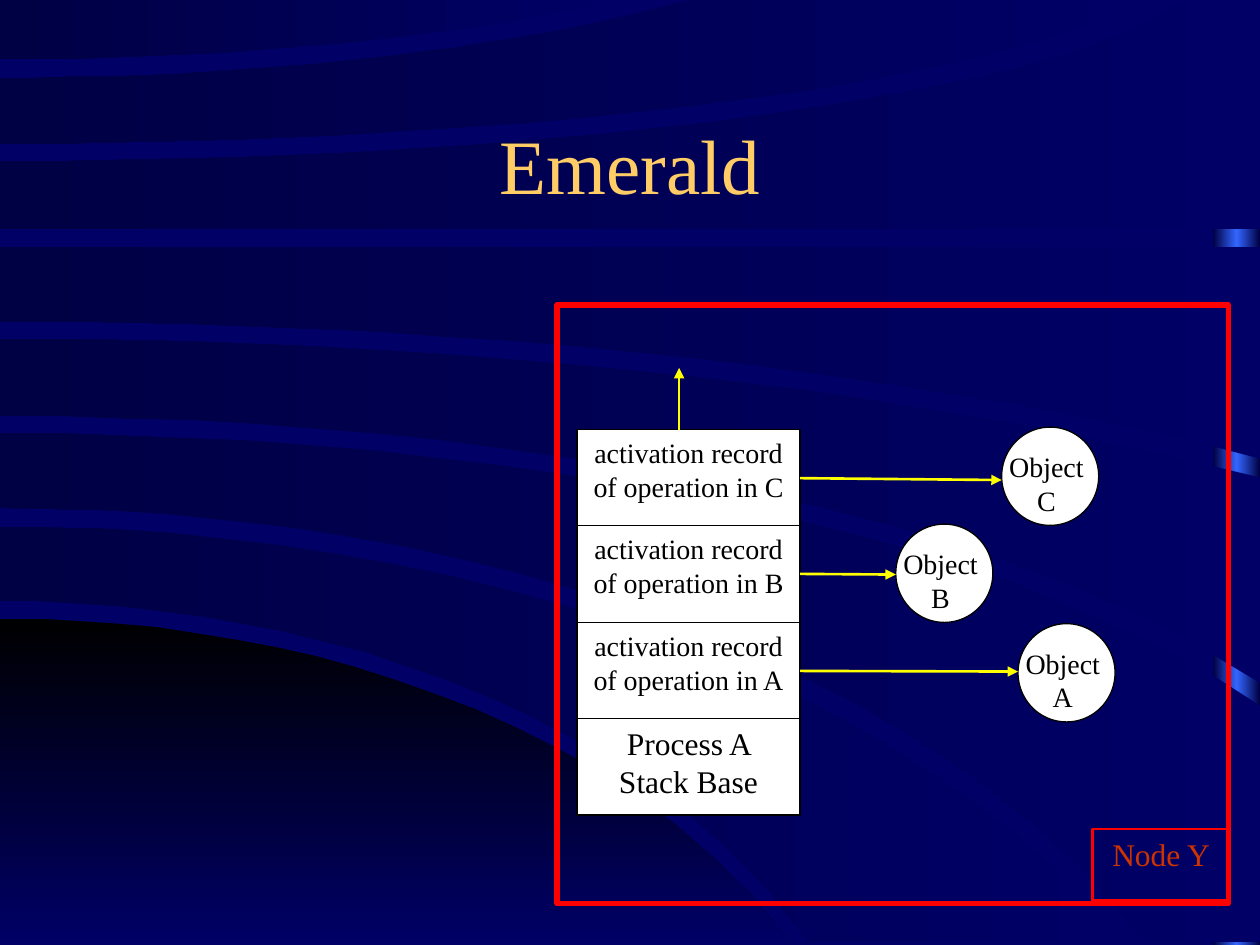
from dataclasses import dataclass
from math import sqrt

from lxml.etree import SubElement
from pptx import Presentation
from pptx.dml.color import RGBColor
from pptx.enum.shapes import MSO_CONNECTOR, MSO_SHAPE
from pptx.enum.text import MSO_ANCHOR, PP_ALIGN
from pptx.oxml.ns import qn
from pptx.shapes.autoshape import Shape
from pptx.shapes.connector import Connector
from pptx.slide import Slide
from pptx.util import Pt

PX = 9144  # EMU per px, 100 px to the inch
FONT = "Times New Roman"
EDGE_STEPS = 20

NAVY = RGBColor(0x00, 0x00, 0x66)
DEEP_NAVY = RGBColor(0x00, 0x00, 0x44)
BRIGHT_BLUE = RGBColor(0x33, 0x66, 0xFF)
BLACK = RGBColor(0x00, 0x00, 0x00)
WHITE = RGBColor(0xFF, 0xFF, 0xFF)
GOLD = RGBColor(0xFF, 0xCC, 0x66)
RED = RGBColor(0xFF, 0x00, 0x00)
BRICK = RGBColor(0xCC, 0x33, 0x00)
YELLOW = RGBColor(0xFF, 0xFF, 0x00)

Point = tuple[int, int]


@dataclass(frozen=True)
class Box:
    left: int
    top: int
    width: int
    height: int

    def emu(self) -> tuple[int, int, int, int]:
        return self.left * PX, self.top * PX, self.width * PX, self.height * PX


@dataclass(frozen=True)
class Edge:
    """Elliptic arc, level at the left side of the slide; flatness is below 1."""
    left_y: int
    right_x: int
    right_y: int
    flatness: float = 0.7

    def points(self) -> list[Point]:
        result = []
        for step in range(EDGE_STEPS + 1):
            t = step / EDGE_STEPS
            bend = 1 - sqrt(1 - (1 - self.flatness ** 2) * t * t)
            rise = (self.right_y - self.left_y) * bend / (1 - self.flatness)
            result.append((round(self.right_x * t), round(self.left_y + rise)))
        return result


@dataclass(frozen=True)
class Band:
    upper: Edge
    lower: Edge

    def outline(self) -> list[Point]:
        shorter, longer = sorted((self.upper, self.lower), key=lambda edge: edge.right_x)
        corner = (longer.right_x, shorter.right_y)
        return [*self.upper.points(), corner, *reversed(self.lower.points())]


@dataclass(frozen=True)
class Call:
    """An activation record and the object it runs in."""
    name: str
    object_left: int
    object_top: int
    arrow_y: int


HILL = Band(Edge(491, 628, 750, 0.42), Edge(750, 628, 750))
BANDS = [
    Band(Edge(418, 893, 748, 0.43), Edge(477, 642, 748, 0.41)),
    Band(Edge(344, 1000, 560, 0.44), Edge(403, 909, 748, 0.4)),
    Band(Edge(269, 1000, 379, 0.73), Edge(330, 1000, 542, 0.46)),
    Band(Edge(196, 1000, 196), Edge(255, 1000, 364)),
    Band(Edge(128, 943, -2, 0.21), Edge(182, 1000, 182)),
    Band(Edge(62, 556, -2), Edge(114, 917, -2, 0.3)),
    Band(Edge(-2, 501, -2), Edge(47, 501, -2)),
]
CALLS = [
    Call("C", 795, 339, 381),
    Call("B", 711, 416, 456),
    Call("A", 808, 495, 533),
]
RECORD_LEFT, RECORD_WIDTH, RECORD_HEIGHT = 458, 177, 77
STACK_TOP, TWO_RECORD_PITCH = 341, 153


def apply_gradient(shape: Shape, colors: list[RGBColor], angle: int) -> None:
    """Spread the colors evenly; the angle runs counter-clockwise."""
    shape.fill.gradient()
    shape.fill.gradient_angle = angle
    stops = shape.element.spPr.find(qn("a:gradFill")).find(qn("a:gsLst"))
    stops.clear()
    for i, color in enumerate(colors):
        stop = SubElement(stops, qn("a:gs"), pos=str(100000 * i // (len(colors) - 1)))
        SubElement(stop, qn("a:srgbClr"), val=str(color))
    shape.line.fill.background()
    shape.shadow.inherit = False


def add_band(slide: Slide, band: Band, colors: list[RGBColor], angle: int) -> None:
    start, *rest = band.outline()
    builder = slide.shapes.build_freeform(*start, scale=PX)
    builder.add_line_segments(rest, close=True)
    apply_gradient(builder.convert_to_shape(), colors, angle)


def write_text(shape: Shape, text: str, size: int, color: RGBColor,
               anchor: MSO_ANCHOR = MSO_ANCHOR.TOP) -> None:
    frame = shape.text_frame
    frame.word_wrap = True
    frame.vertical_anchor = anchor
    paragraph = frame.paragraphs[0]
    paragraph.alignment = PP_ALIGN.CENTER
    run = paragraph.add_run()
    run.text = text
    run.font.name, run.font.size = FONT, Pt(size)
    run.font.color.rgb = color


def add_outlined(slide: Slide, kind: MSO_SHAPE, box: Box, line: RGBColor, weight: float,
                 fill: RGBColor | None = None) -> Shape:
    shape = slide.shapes.add_shape(kind, *box.emu())
    shape.shadow.inherit = False
    if fill is None:
        shape.fill.background()
    else:
        shape.fill.solid()
        shape.fill.fore_color.rgb = fill
    shape.line.color.rgb, shape.line.width = line, Pt(weight)
    return shape


def add_record(slide: Slide, row: int, text: str, size: int) -> Shape:
    top = STACK_TOP + row * TWO_RECORD_PITCH // 2
    box = Box(RECORD_LEFT, top, RECORD_WIDTH, RECORD_HEIGHT)
    record = add_outlined(slide, MSO_SHAPE.RECTANGLE, box, BLACK, 0.75, WHITE)
    write_text(record, text, size, BLACK)
    return record


def add_object(slide: Slide, call: Call) -> None:
    circle = Box(call.object_left, call.object_top, 77, 78)
    add_outlined(slide, MSO_SHAPE.OVAL, circle, BLACK, 0.75, WHITE)
    label = Box(circle.left - 13, circle.top + 13, 97, 65)
    write_text(slide.shapes.add_textbox(*label.emu()), f"Object {call.name}", 16, BLACK)


def add_arrow(slide: Slide, start: Point, end: Point) -> Connector:
    arrow = slide.shapes.add_connector(
        MSO_CONNECTOR.STRAIGHT, *(value * PX for value in start + end))
    arrow.line.color.rgb, arrow.line.width = YELLOW, Pt(1.5)
    outline = arrow.element.spPr.find(qn("a:ln"))
    SubElement(outline, qn("a:tailEnd"), type="triangle")
    SubElement(arrow.element.spPr, qn("a:effectLst"))
    return arrow


def main() -> None:
    deck = Presentation()
    deck.slide_width, deck.slide_height = 1000 * PX, 750 * PX
    slide = deck.slides.add_slide(deck.slide_layouts[6])
    slide.background.fill.solid()
    slide.background.fill.fore_color.rgb = NAVY

    strip = slide.shapes.add_shape(MSO_SHAPE.RECTANGLE, *Box(963, 0, 37, 750).emu())
    apply_gradient(strip, [DEEP_NAVY, BRIGHT_BLUE, DEEP_NAVY], 180)
    add_band(slide, HILL, [BLACK, NAVY], 270)
    for band in BANDS:
        add_band(slide, band, [NAVY, DEEP_NAVY], 180)

    title = slide.shapes.add_textbox(*Box(75, 67, 850, 125).emu())
    write_text(title, "Emerald", 44, GOLD, MSO_ANCHOR.MIDDLE)

    add_outlined(slide, MSO_SHAPE.RECTANGLE, Box(442, 242, 533, 475), RED, 3)
    node = add_outlined(slide, MSO_SHAPE.RECTANGLE, Box(867, 658, 109, 57), RED, 1.5)
    write_text(node, "Node Y", 18, BRICK)

    for row, call in enumerate(CALLS):
        record = add_record(slide, row, f"activation record of operation in {call.name}", 16)
        add_object(slide, call)
        arrow = add_arrow(slide, (RECORD_LEFT + RECORD_WIDTH, call.arrow_y),
                          (call.object_left, call.arrow_y))
        arrow.begin_connect(record, 3)
    add_record(slide, len(CALLS), "Process A Stack Base", 18)
    add_arrow(slide, (539, STACK_TOP), (539, 292))

    deck.save("out.pptx")


if __name__ == "__main__":
    main()
